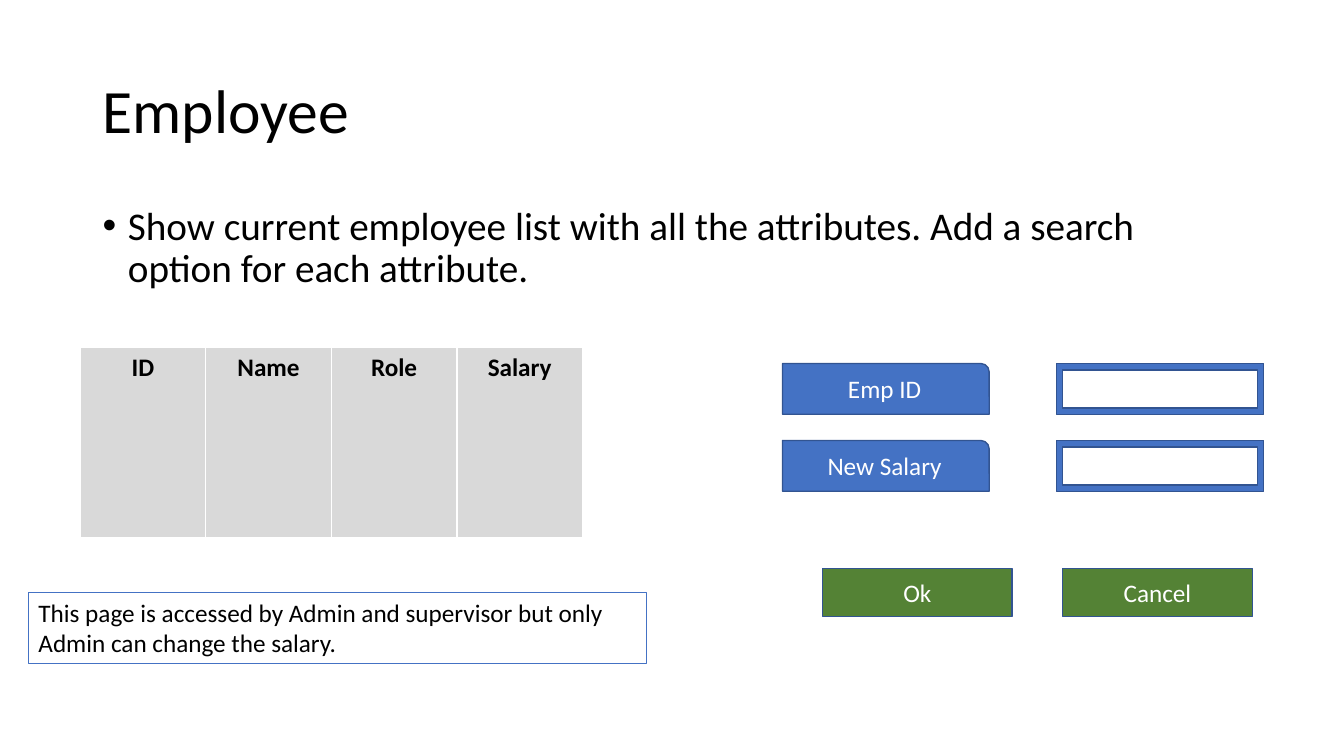
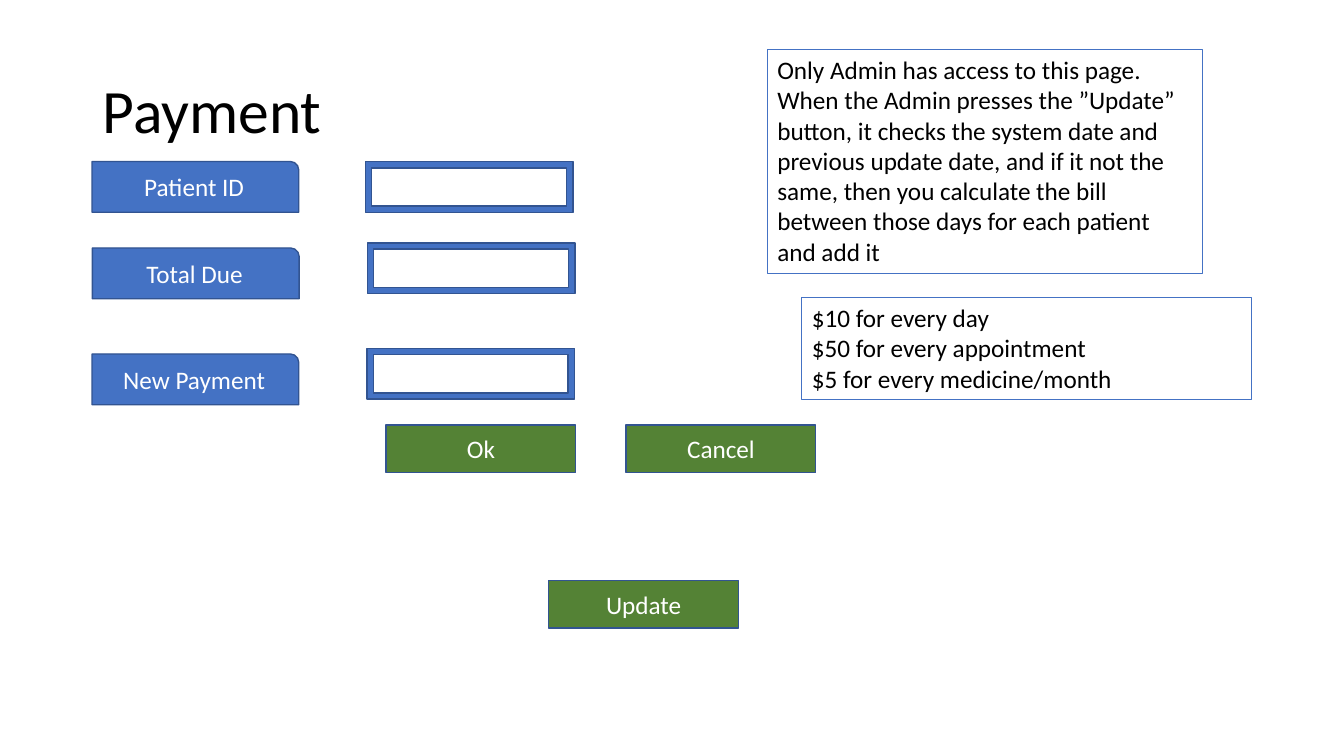
from dataclasses import dataclass
from typing import Any

import lxml.etree
import pptx
import pptx.dml.color
import pptx.enum.shapes
import pptx.enum.text
import pptx.oxml.ns
import pptx.util

Cm = pptx.util.Cm
Pt = pptx.util.Pt
RGB = pptx.dml.color.RGBColor
Kind = pptx.enum.shapes.MSO_SHAPE
Align = pptx.enum.text.PP_ALIGN
Anchor = pptx.enum.text.MSO_ANCHOR
Fit = pptx.enum.text.MSO_AUTO_SIZE
qn = pptx.oxml.ns.qn

BLACK = RGB(0x00, 0x00, 0x00)
WHITE = RGB(0xFF, 0xFF, 0xFF)
GREY = RGB(0xD9, 0xD9, 0xD9)
BLUE = RGB(0x44, 0x72, 0xC4)
NAVY = RGB(0x32, 0x54, 0x91)
GREEN = RGB(0x54, 0x82, 0x35)

FACE = "Calibri"
HEAD = {"size": Pt(44), "name": FACE}
LIST = {"size": Pt(28), "name": FACE}
TEXT = {"size": Pt(18), "name": FACE}
BOLD = {**TEXT, "bold": True}
TIGHT = {"alignment": Align.LEFT, "line_spacing": 0.9}
ITEM = {**TIGHT, "space_before": Pt(10)}
LEFT = {"alignment": Align.LEFT}
MID = {"alignment": Align.CENTER}

LABEL = (5.21, 1.28)
FIELD = (5.23, 1.28)
PRESS = (4.78, 1.2)
PRESS_STEP = 6.05


@dataclass
class Row:
    text: str
    left: float
    top: float
    field_left: float
    field_top: float


@dataclass
class Button:
    text: str
    left: float
    top: float


@dataclass
class Note:
    lines: list[str]
    left: float
    top: float
    width: float
    height: float


def dress(item: Any, style: dict[str, Any]) -> None:
    for name, value in style.items():
        setattr(item, name, value)


def place(item: Any, left: float, top: float, width: float, height: float) -> None:
    dress(item, {"left": Cm(left), "top": Cm(top),
                 "width": Cm(width), "height": Cm(height)})


def write(frame: Any, lines: list[str], font: dict[str, Any],
          para: dict[str, Any], ink: RGB) -> None:
    for at, line in enumerate(lines):
        part = frame.add_paragraph() if at else frame.paragraphs[0]
        dress(part, para)
        run = part.add_run()
        run.text = line
        dress(run.font, font)
        run.font.color.rgb = ink


def add_box(slide: Any, kind: Any, left: float, top: float,
            size: tuple[float, float], fill: RGB | None,
            edge: RGB, weight: float) -> Any:
    box = slide.shapes.add_shape(kind, Cm(left), Cm(top), *map(Cm, size))
    box.shadow.inherit = False
    if fill is None:
        box.fill.background()
    else:
        box.fill.solid()
        box.fill.fore_color.rgb = fill
    box.line.color.rgb = edge
    box.line.width = Pt(weight)
    return box


def add_row(slide: Any, row: Row) -> None:
    add_box(slide, Kind.FRAME, row.field_left, row.field_top, FIELD, BLUE, NAVY, 1)
    label = add_box(slide, Kind.ROUND_1_RECTANGLE, row.left, row.top,
                    LABEL, BLUE, NAVY, 1)
    write(label.text_frame, [row.text], TEXT, MID, WHITE)


def add_button(slide: Any, button: Button) -> None:
    box = add_box(slide, Kind.RECTANGLE, button.left, button.top,
                  PRESS, GREEN, NAVY, 1)
    write(box.text_frame, [button.text], TEXT, MID, WHITE)


def add_pair(slide: Any, left: float, top: float) -> None:
    for at, text in enumerate(("Ok", "Cancel")):
        add_button(slide, Button(text, left + at * PRESS_STEP, top))


def add_note(slide: Any, note: Note) -> None:
    box = add_box(slide, Kind.RECTANGLE, note.left, note.top,
                  (note.width, note.height), None, BLUE, 0.75)
    dress(box.text_frame, {"word_wrap": True, "vertical_anchor": Anchor.TOP,
                           "auto_size": Fit.SHAPE_TO_FIT_TEXT})
    write(box.text_frame, note.lines, TEXT, LEFT, BLACK)


def add_edges(cell: Any) -> None:
    props = cell._tc.get_or_add_tcPr()
    for side, weight in {"L": 1, "R": 1, "T": 1, "B": 3}.items():
        edge = lxml.etree.SubElement(props, qn(f"a:ln{side}"), w=str(Pt(weight)))
        fill = lxml.etree.SubElement(edge, qn("a:solidFill"))
        lxml.etree.SubElement(fill, qn("a:srgbClr"), val=str(WHITE))


def add_grid(slide: Any, heads: list[str], left: float, top: float,
             width: float, height: float) -> None:
    grid = slide.shapes.add_table(1, len(heads), Cm(left), Cm(top),
                                  Cm(width), Cm(height)).table
    for cell, head in zip(grid.rows[0].cells, heads):
        add_edges(cell)
        cell.fill.solid()
        cell.fill.fore_color.rgb = GREY
        write(cell.text_frame, [head], BOLD, MID, BLACK)


def add_list(slide: Any, lines: list[str]) -> None:
    body = slide.placeholders[1]
    place(body, 2.33, 5.07, 29.21, 12.09)
    write(body.text_frame, lines, LIST, ITEM, BLACK)
    for part in body.text_frame.paragraphs:
        props = part._p.get_or_add_pPr()
        props.set("marL", str(Cm(0.64)))
        props.set("indent", str(-Cm(0.64)))


def add_slide(deck: Any, plan: int, title: str) -> Any:
    slide = deck.slides.add_slide(deck.slide_layouts[plan])
    head = slide.shapes.title
    place(head, 2.33, 1.01, 29.21, 3.68)
    head.text_frame.vertical_anchor = Anchor.MIDDLE
    write(head.text_frame, [title], HEAD, TIGHT, BLACK)
    return slide


def build_staff(deck: Any) -> None:
    slide = add_slide(deck, 1, "Employee")
    add_list(slide, ["Show current employee list with all the attributes. "
                     "Add a search option for each attribute."])
    add_grid(slide, ["ID", "Name", "Role", "Salary"], 2.02, 8.75, 12.66, 4.82)
    for at, text in enumerate(("Emp ID", "New Salary")):
        top = 9.16 + at * 1.94
        add_row(slide, Row(text, 19.72, top, 26.62, top))
    add_pair(slide, 20.73, 14.33)
    add_note(slide, Note(["This page is accessed by Admin and supervisor "
                          "but only Admin can change the salary."],
                         0.72, 14.93, 15.57, 1.8))


def build_pay(deck: Any) -> None:
    slide = add_slide(deck, 5, "Payment")
    for row in (Row("Patient ID", 2.32, 4.07, 9.21, 4.07),
                Row("Total Due", 2.33, 6.25, 9.26, 6.12),
                Row("New Payment", 2.32, 8.92, 9.25, 8.78)):
        add_row(slide, row)
    add_pair(slide, 9.73, 10.71)
    add_button(slide, Button("Update", 13.83, 14.63))
    add_note(slide, Note(["$10 for every day", "$50 for every appointment",
                          "$5 for every medicine/month"],
                         20.21, 7.5, 11.33, 2.56))
    add_note(slide, Note(["Only Admin has access to this page. When the Admin "
                          "presses the \u201dUpdate\u201d button, it checks the "
                          "system date and previous update date, and if it not "
                          "the same, then you calculate the bill between those "
                          "days for each patient and add it"],
                         19.34, 1.25, 10.97, 5.64))


deck = pptx.Presentation()
dress(deck, {"slide_width": Cm(33.87), "slide_height": Cm(19.05)})
build_staff(deck)
build_pay(deck)
deck.save("out.pptx")
